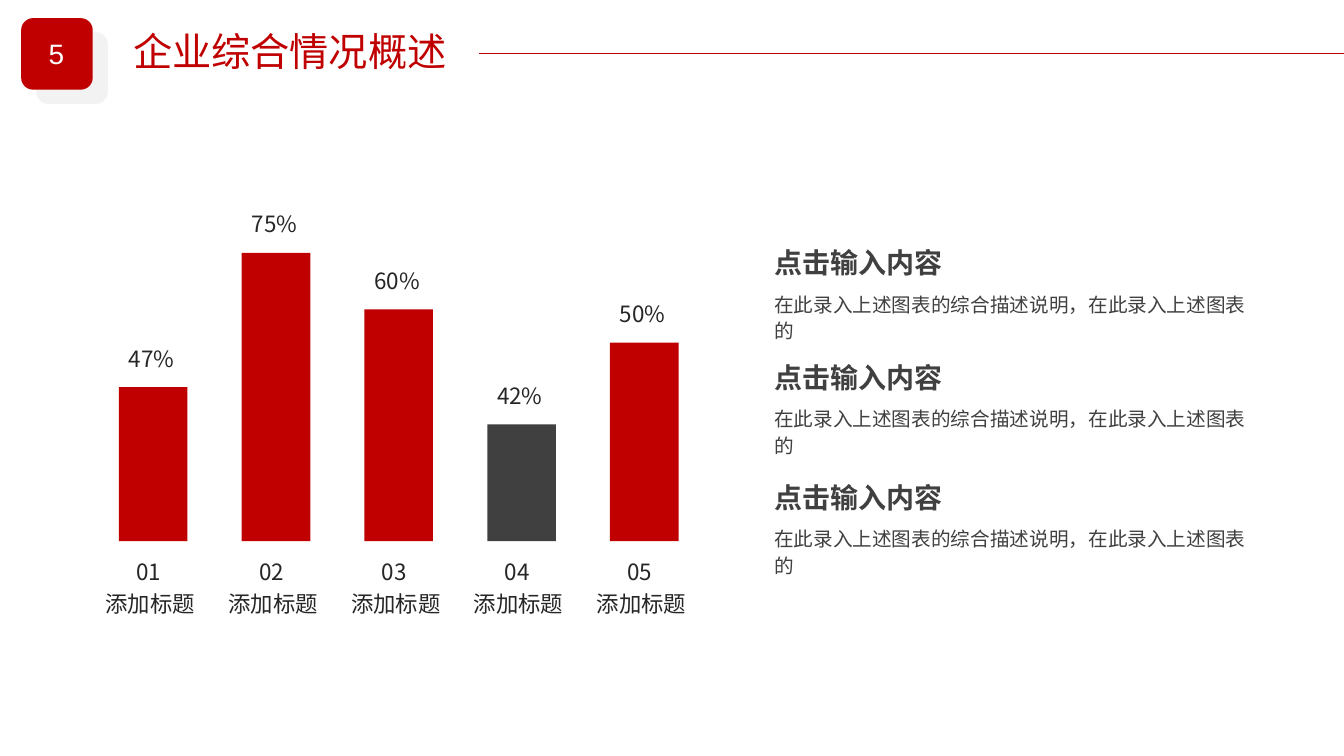
from lxml.etree import SubElement
from pptx import Presentation
from pptx.dml.color import RGBColor
from pptx.enum.shapes import MSO_CONNECTOR, MSO_SHAPE
from pptx.enum.text import MSO_ANCHOR, MSO_AUTO_SIZE, PP_ALIGN
from pptx.oxml.ns import qn
from pptx.util import Inches, Pt

COLORS = {
    "red": "C00000",
    "pale": "F2F2F2",
    "white": "FFFFFF",
    "dark": "404040",
    "label": "262626",
}
CJK_FONT = "Noto Sans CJK SC"
BARS = [
    ("47%", 1.53, "red"),
    ("75%", 2.86, "red"),
    ("60%", 2.3, "red"),
    ("42%", 1.16, "dark"),
    ("50%", 1.97, "red"),
]
NOTE_OFFSETS = [0, 1.14, 2.33]
NOTE_TEXT = "在此录入上述图表的综合描述说明，在此录入上述图表的"


def rgb(name):
    return RGBColor.from_string(COLORS[name])


def place(sp, left, top, width, height):
    sp.left, sp.top = Inches(left), Inches(top)
    sp.width, sp.height = Inches(width), Inches(height)


def add_block(s, kind, left, top, width, height, color):
    sp = s.shapes.add_shape(kind, Inches(left), Inches(top), Inches(width), Inches(height))
    sp.shadow.inherit = False
    sp.fill.solid()
    sp.fill.fore_color.rgb = rgb(color)
    sp.line.fill.background()


def write(sp, text, size, color, font=CJK_FONT, bold=False, align=PP_ALIGN.LEFT, wrap=True):
    tf = sp.text_frame
    tf.text = text
    tf.word_wrap = wrap
    tf.auto_size = MSO_AUTO_SIZE.SHAPE_TO_FIT_TEXT
    tf.vertical_anchor = MSO_ANCHOR.TOP
    p = tf.paragraphs[0]
    p.alignment = align
    r = p.runs[0]
    r.font.size = Pt(size)
    r.font.bold = bold
    r.font.name = font
    r.font.color.rgb = rgb(color)
    SubElement(r.font._element, qn("a:ea")).set("typeface", font)
    return p


def add_text(s, left, top, width, height, text, size, color, **style):
    sp = s.shapes.add_textbox(Inches(left), Inches(top), Inches(width), Inches(height))
    return write(sp, text, size, color, **style)


def add_header(s, left, top, width):
    side = 0.71
    add_block(s, MSO_SHAPE.ROUNDED_RECTANGLE, left + 0.15, top + 0.14, side, side, "pale")
    add_block(s, MSO_SHAPE.ROUNDED_RECTANGLE, left, top, side, side, "red")
    y = Inches(top + 0.35)
    line = s.shapes.add_connector(
        MSO_CONNECTOR.STRAIGHT, Inches(left + 4.54), y, Inches(left + width), y
    )
    line.line.color.rgb = rgb("red")
    line.line.width = Pt(1.25)
    SubElement(line._element.spPr, qn("a:effectLst"))
    add_text(s, left + 0.08, top + 0.13, 0.54, 0.44, "5", 20, "white",
             font="Arial", align=PP_ALIGN.CENTER, wrap=False)
    title = s.shapes.title
    place(title, left + 1.01, top + 0.04, 3.34, 0.57)
    write(title, "企业综合情况概述", 28, "red", wrap=False)


def add_bars(s, left, top, width, height):
    column, bar, number = 1.14, 0.68, 0.53
    pitch = (width - column) / (len(BARS) - 1)
    base = top + height - 0.81
    for i, (value, bar_height, color) in enumerate(BARS):
        x = left + i * pitch
        bar_left = x + (column - bar) / 2
        bar_top = base - bar_height
        add_block(s, MSO_SHAPE.RECTANGLE, bar_left, bar_top, bar, bar_height, color)
        labels = [
            (bar_left, bar_top - 0.47, bar, value),
            (x + (column - number) / 2, base + 0.12, number, f"{i + 1:02d}"),
            (x, base + 0.44, column, "添加标题"),
        ]
        for label_left, label_top, label_width, text in labels:
            add_text(s, label_left, label_top, label_width, 0.37, text, 16, "label",
                     align=PP_ALIGN.JUSTIFY)


def add_notes_column(s, left, top, width):
    for offset in NOTE_OFFSETS:
        y = top + offset
        add_text(s, left, y, 2.87, 0.44, "点击输入内容", 20, "dark", bold=True)
        p = add_text(s, left, y + 0.43, width, 0.33, NOTE_TEXT, 14, "dark")
        p.line_spacing = 1.14


def main():
    prs = Presentation()
    prs.slide_width, prs.slide_height = Inches(13.33), Inches(7.5)
    s = prs.slides.add_slide(prs.slide_layouts[5])
    add_header(s, 0.21, 0.18, 13.12)
    add_bars(s, 0.95, 2.04, 6.01, 4.14)
    add_notes_column(s, 7.58, 2.39, 5.06)
    prs.save("out.pptx")


if __name__ == "__main__":
    main()
